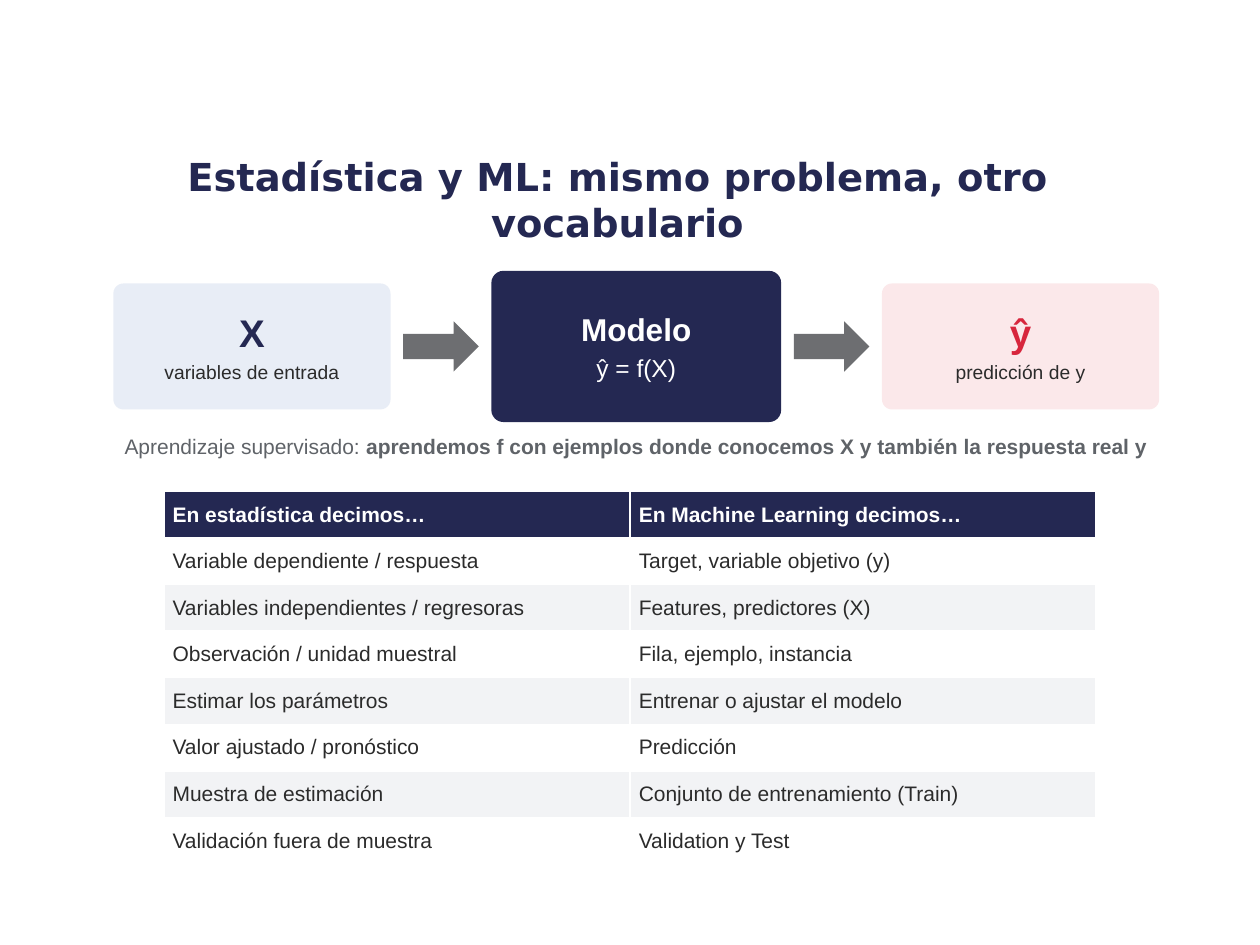
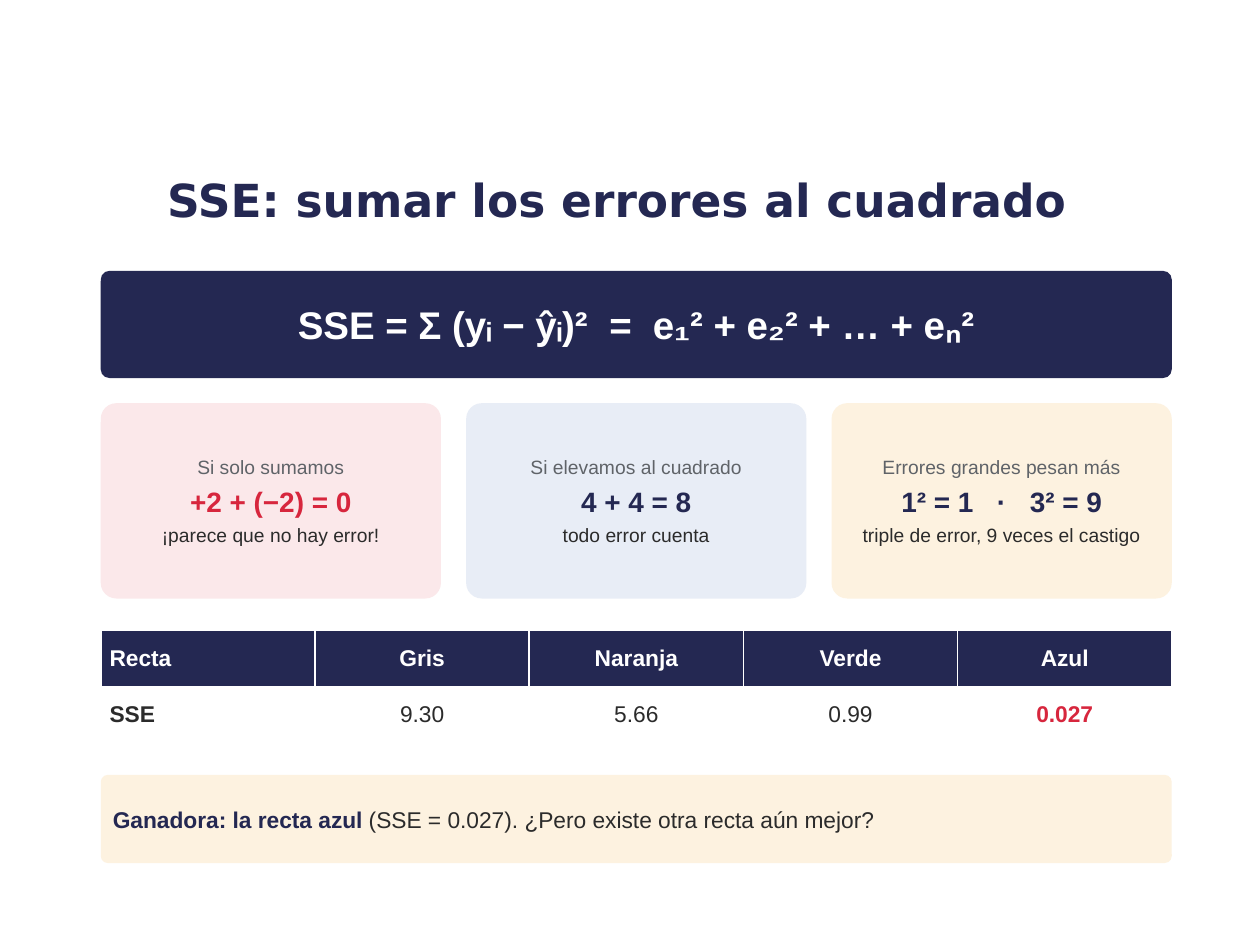
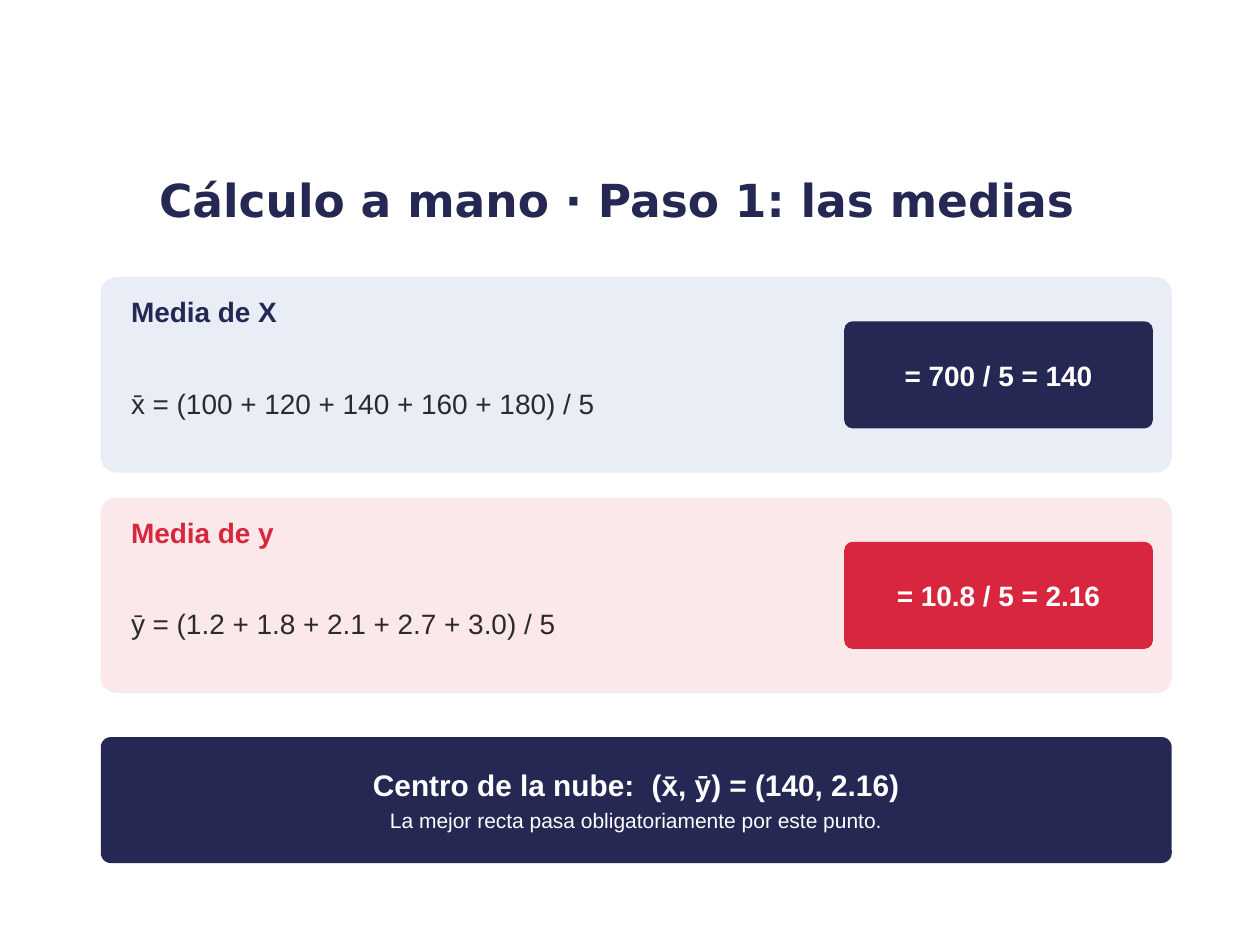
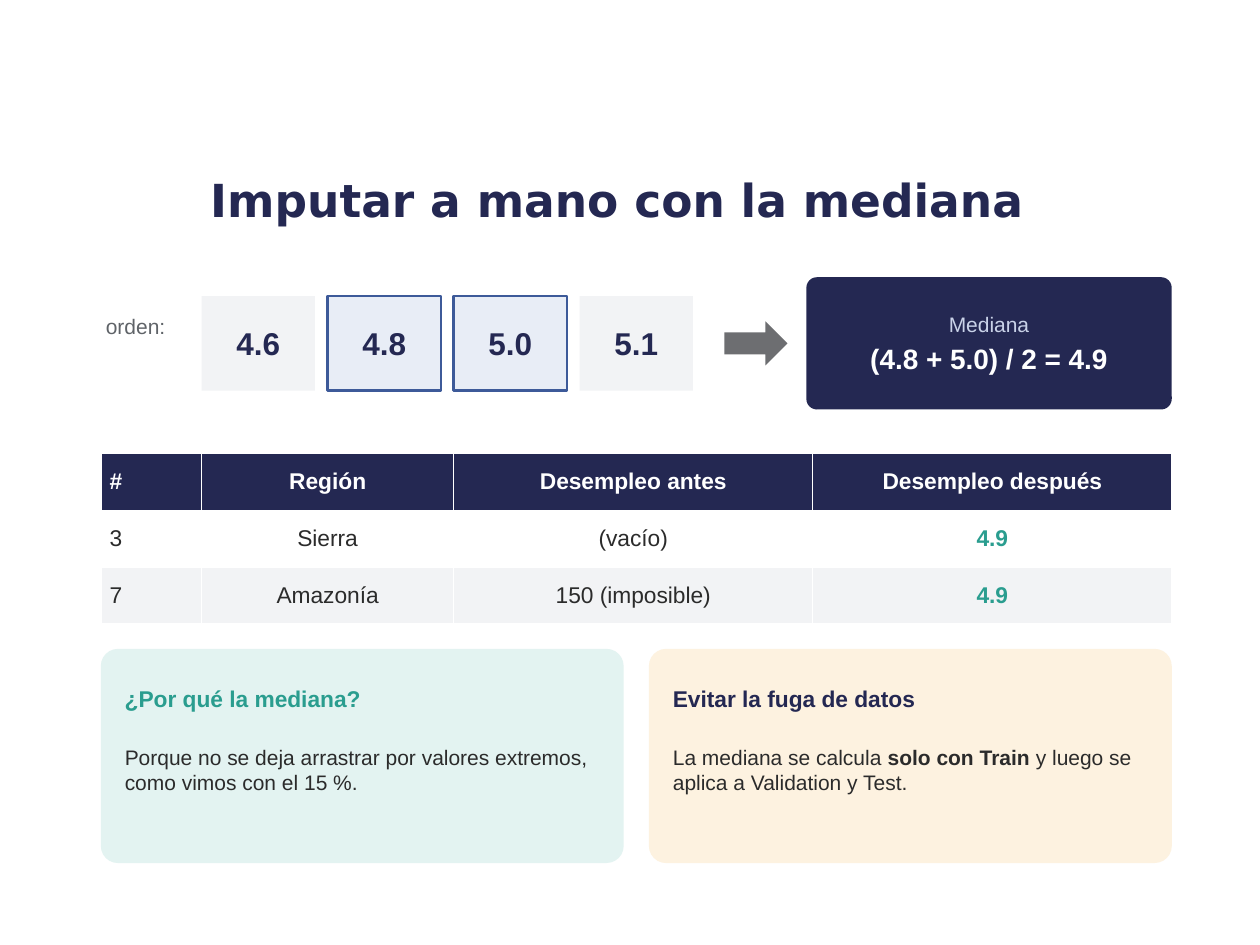
import pptx
import pptx.dml.color
import pptx.enum.shapes
import pptx.enum.text
import pptx.util

Inches = pptx.util.Inches
Pt = pptx.util.Pt
SHAPES = pptx.enum.shapes.MSO_SHAPE
ALIGN = pptx.enum.text.PP_ALIGN
ANCHOR = pptx.enum.text.MSO_ANCHOR
FIT = pptx.enum.text.MSO_AUTO_SIZE

BODY_FONT = "Arial"
TITLE_FONT = "DejaVu Sans"
NAVY = "242852"
RED = "D7263D"
TEAL = "2A9D8F"
BLUE = "3D5A99"
INK = "2B2B2B"
MUTED = "5F6368"
ARROW_GRAY = "6D6E71"
WHITE = "FFFFFF"
PALE_GRAY = "F2F3F5"
PALE_BLUE = "E8EDF6"
PALE_RED = "FBE8EA"
PALE_TEAL = "E3F3F1"
CREAM = "FDF2E0"
SOFT_BLUE = "C9D2E8"

LEFT, WIDTH, GAP = 0.8, 8.5, 0.2


def rgb(value):
    return pptx.dml.color.RGBColor.from_string(value)


def write(holder, text, size=12, color=INK, bold=False, align=ALIGN.LEFT,
          after=0, font=BODY_FONT, same_line=False, tracking=0):
    frame = holder.text_frame
    para = frame.paragraphs[-1]
    if para.runs and not same_line:
        para = frame.add_paragraph()
    para.alignment = align
    para.space_after = Pt(after)
    span = para.add_run()
    span.text = text
    span.font.name = font
    span.font.size = Pt(size)
    span.font.bold = bold
    span.font.color.rgb = rgb(color)
    if tracking:
        span.font._element.set("spc", str(tracking * 100))


def label(holder, text, **style):
    write(holder, text, align=ALIGN.CENTER, after=3, **style)


def set_margins(target, horizontal, vertical):
    target.margin_left = target.margin_right = Inches(horizontal)
    target.margin_top = target.margin_bottom = Inches(vertical)


def add_panel(page, left, top, width, height, fill,
              kind=SHAPES.ROUNDED_RECTANGLE, line=None):
    panel = page.shapes.add_shape(
        kind, Inches(left), Inches(top), Inches(width), Inches(height))
    panel.shadow.inherit = False
    panel.fill.solid()
    panel.fill.fore_color.rgb = rgb(fill)
    if line:
        panel.line.color.rgb = rgb(line)
        panel.line.width = Pt(1.25)
    else:
        panel.line.fill.background()
    if kind == SHAPES.ROUNDED_RECTANGLE:
        panel.adjustments[0] = 0.08
    frame = panel.text_frame
    frame.word_wrap = True
    frame.vertical_anchor = ANCHOR.MIDDLE
    set_margins(frame, 0.08, 0.08)
    return panel


def add_note(page, left, top, width, height, anchor=ANCHOR.TOP):
    box = page.shapes.add_textbox(
        Inches(left), Inches(top), Inches(width), Inches(height))
    frame = box.text_frame
    frame.word_wrap = True
    frame.auto_size = FIT.SHAPE_TO_FIT_TEXT
    frame.vertical_anchor = anchor
    set_margins(frame, 0.04, 0.04)
    return box


def add_arrow(page, left, top, width, height):
    add_panel(page, left, top, width, height, ARROW_GRAY, kind=SHAPES.RIGHT_ARROW)


def add_grid(page, left, top, widths, row_height, rows, size=13,
             centered=True, accents=None):
    accents = accents or {}
    table = page.shapes.add_table(
        len(rows), len(widths), Inches(left), Inches(top),
        Inches(sum(widths)), Inches(row_height * len(rows))).table
    table.horz_banding = False
    for column, width in zip(table.columns, widths):
        column.width = Inches(width)
    for row_index, values in enumerate(rows):
        table.rows[row_index].height = Inches(row_height)
        header = row_index == 0
        fill = NAVY if header else (PALE_GRAY, WHITE)[row_index % 2]
        for column_index, value in enumerate(values):
            cell = table.cell(row_index, column_index)
            cell.fill.solid()
            cell.fill.fore_color.rgb = rgb(fill)
            cell.vertical_anchor = ANCHOR.MIDDLE
            set_margins(cell, 0.07, 0.03)
            accent = accents.get((row_index, column_index))
            write(cell, value, size=size,
                  color=WHITE if header else accent or INK,
                  bold=header or accent is not None,
                  align=ALIGN.CENTER if centered and column_index else ALIGN.LEFT)


def add_page(deck, title, size=26):
    page = deck.slides.add_slide(deck.slide_layouts[5])
    holder = page.shapes.title
    holder.left, holder.top = Inches(0.75), Inches(1.18)
    holder.width, holder.height = Inches(8.3), Inches(0.8)
    holder.text_frame.auto_size = FIT.NONE
    holder.text_frame.vertical_anchor = ANCHOR.MIDDLE
    write(holder, title, size=size, color=NAVY, bold=True,
          align=ALIGN.CENTER, font=TITLE_FONT)
    return page


def add_model_flow(page, left, top):
    side_width, model_width, arrow_width, gap = 2.2, 2.3, 0.6, 0.1
    step = arrow_width + 2 * gap
    model_left = left + side_width + step
    output_left = model_left + model_width + step
    ends = [
        (left, PALE_BLUE, NAVY, "X", "variables de entrada"),
        (output_left, PALE_RED, RED, "ŷ", "predicción de y"),
    ]
    for end_left, fill, color, symbol, caption in ends:
        panel = add_panel(page, end_left, top + 0.1, side_width, 1, fill)
        label(panel, symbol, size=22, color=color, bold=True)
        label(panel, caption, size=11)
    model = add_panel(page, model_left, top, model_width, 1.2, NAVY)
    label(model, "Modelo", size=18, color=WHITE, bold=True)
    label(model, "ŷ = f(X)", size=14, color=WHITE)
    for next_left in (model_left, output_left):
        add_arrow(page, next_left - gap - arrow_width, top + 0.4, arrow_width, 0.4)


def build_vocabulary(deck):
    page = add_page(deck, "Estadística y ML: mismo problema, otro vocabulario", size=22)
    add_model_flow(page, 0.9, 2.15)
    note = add_note(page, 0.9, 3.4, 8.3, 0.4)
    style = dict(color=MUTED, align=ALIGN.CENTER, after=4)
    write(note, "Aprendizaje supervisado: ", **style)
    write(note, "aprendemos f con ejemplos donde conocemos X y también la respuesta real y",
          bold=True, same_line=True, **style)
    add_grid(page, 1.3, 3.9, [3.7, 3.7], 0.37, [
        ("En estadística decimos…", "En Machine Learning decimos…"),
        ("Variable dependiente / respuesta", "Target, variable objetivo (y)"),
        ("Variables independientes / regresoras", "Features, predictores (X)"),
        ("Observación / unidad muestral", "Fila, ejemplo, instancia"),
        ("Estimar los parámetros", "Entrenar o ajustar el modelo"),
        ("Valor ajustado / pronóstico", "Predicción"),
        ("Muestra de estimación", "Conjunto de entrenamiento (Train)"),
        ("Validación fuera de muestra", "Validation y Test"),
    ], size=12, centered=False)


def label_spaced(holder, parts, tracking, **style):
    for index, part in enumerate(parts):
        if index:
            label(holder, " ", same_line=True, tracking=tracking, **style)
        label(holder, part, same_line=index > 0, **style)


def add_error_cards(page, left, top, width):
    cards = [
        (PALE_RED, RED, "Si solo sumamos", ["+2 + (−2) = 0"],
         "¡parece que no hay error!"),
        (PALE_BLUE, NAVY, "Si elevamos al cuadrado", ["4 + 4 = 8"],
         "todo error cuenta"),
        (CREAM, NAVY, "Errores grandes pesan más", ["1² = 1", "·", "3² = 9"],
         "triple de error, 9 veces el castigo"),
    ]
    card_width = (width - GAP * (len(cards) - 1)) / len(cards)
    for index, (fill, color, heading, formula, remark) in enumerate(cards):
        card = add_panel(page, left + index * (card_width + GAP), top,
                         card_width, 1.55, fill)
        label(card, heading, size=11, color=MUTED)
        write(card, formula[0], size=16, color=color, bold=True,
              align=ALIGN.CENTER, after=3)
        for part in formula[1:]:
            label(card, " ", size=16, color=color, bold=True,
                  same_line=True, tracking=9)
            label(card, part, size=16, color=color, bold=True, same_line=True)
        label(card, remark, size=11)


def build_squared_errors(deck):
    page = add_page(deck, "SSE: sumar los errores al cuadrado")
    formula = add_panel(page, LEFT, 2.15, WIDTH, 0.85, NAVY)
    label_spaced(formula, ["SSE = Σ (yᵢ − ŷᵢ)²", "=", "e₁² + e₂² + … + eₙ²"],
                 tracking=6, size=22, color=WHITE, bold=True)
    add_error_cards(page, LEFT, 3.2, WIDTH)
    add_grid(page, LEFT, 5, [WIDTH / 5] * 5, 0.45, [
        ("Recta", "Gris", "Naranja", "Verde", "Azul"),
        ("SSE", "9.30", "5.66", "0.99", "0.027"),
    ], accents={(1, 0): INK, (1, 4): RED})
    winner = add_panel(page, LEFT, 6.15, WIDTH, 0.7, CREAM)
    write(winner, "Ganadora: la recta azul ", size=13, color=NAVY, bold=True, after=3)
    write(winner, "(SSE = 0.027). ¿Pero existe otra recta aún mejor?",
          size=13, after=3, same_line=True)


def add_mean(page, left, top, fill, color, heading, formula, result):
    add_panel(page, left, top, WIDTH, 1.55, fill)
    write(add_note(page, left + 0.2, top + 0.1, 3, 0.45), heading,
          size=16, color=color, bold=True, after=4)
    write(add_note(page, left + 0.2, top + 0.6, 5.6, 0.8, ANCHOR.MIDDLE), formula,
          size=16, after=4)
    label(add_panel(page, left + 5.9, top + 0.35, 2.45, 0.85, color), result,
          size=16, color=WHITE, bold=True)


def build_means(deck):
    page = add_page(deck, "Cálculo a mano · Paso 1: las medias")
    add_mean(page, LEFT, 2.2, PALE_BLUE, NAVY, "Media de X",
             "x̄ = (100 + 120 + 140 + 160 + 180) / 5", "= 700 / 5 = 140")
    add_mean(page, LEFT, 3.95, PALE_RED, RED, "Media de y",
             "ȳ = (1.2 + 1.8 + 2.1 + 2.7 + 3.0) / 5", "= 10.8 / 5 = 2.16")
    center = add_panel(page, LEFT, 5.85, WIDTH, 1, NAVY)
    label_spaced(center, ["Centro de la nube:", "(x̄, ȳ) = (140, 2.16)"],
                 tracking=5, size=17, color=WHITE, bold=True)
    label(center, "La mejor recta pasa obligatoriamente por este punto.", color=WHITE)


def add_median_flow(page, left, top):
    for index, value in enumerate(["4.6", "4.8", "5.0", "5.1"]):
        central = index in (1, 2)
        tile = add_panel(page, left + 0.8 + index, top + 0.15, 0.9, 0.75,
                         PALE_BLUE if central else PALE_GRAY,
                         kind=SHAPES.RECTANGLE, line=BLUE if central else None)
        label(tile, value, size=18, color=NAVY, bold=True)
    write(add_note(page, left, top + 0.25, 0.8, 0.5), "orden:", color=MUTED, after=4)
    add_arrow(page, left + 4.95, top + 0.35, 0.5, 0.35)
    median = add_panel(page, left + 5.6, top, 2.9, 1.05, NAVY)
    label(median, "Mediana", color=SOFT_BLUE)
    label(median, "(4.8 + 5.0) / 2 = 4.9", size=16, color=WHITE, bold=True)


def add_reason(page, left, top, width, fill, color, heading, spans):
    add_panel(page, left, top, width, 1.7, fill)
    write(add_note(page, left + 0.15, top + 0.12, width - 0.25, 0.55, ANCHOR.MIDDLE),
          heading, size=13, color=color, bold=True, after=4)
    detail = add_note(page, left + 0.15, top + 0.72, width - 0.3, 0.9)
    for text, bold in spans:
        write(detail, text, bold=bold, after=4, same_line=True)


def build_imputation(deck):
    page = add_page(deck, "Imputar a mano con la mediana")
    add_median_flow(page, LEFT, 2.2)
    add_grid(page, LEFT, 3.6, [0.8, 2, 2.85, 2.85], 0.45, [
        ("#", "Región", "Desempleo antes", "Desempleo después"),
        ("3", "Sierra", "(vacío)", "4.9"),
        ("7", "Amazonía", "150 (imposible)", "4.9"),
    ], accents={(1, 3): TEAL, (2, 3): TEAL})
    width = (WIDTH - GAP) / 2
    add_reason(page, LEFT, 5.15, width, PALE_TEAL, TEAL, "¿Por qué la mediana?", [
        ("Porque no se deja arrastrar por valores extremos, como vimos con el 15 %.", False),
    ])
    add_reason(page, LEFT + width + GAP, 5.15, width, CREAM, NAVY,
               "Evitar la fuga de datos", [
                   ("La mediana se calcula ", False),
                   ("solo con Train", True),
                   (" y luego se aplica a Validation y Test.", False),
               ])


def main():
    deck = pptx.Presentation()
    deck.slide_width = Inches(10)
    deck.slide_height = Inches(7.5)
    build_vocabulary(deck)
    build_squared_errors(deck)
    build_means(deck)
    build_imputation(deck)
    deck.save("out.pptx")


if __name__ == "__main__":
    main()
